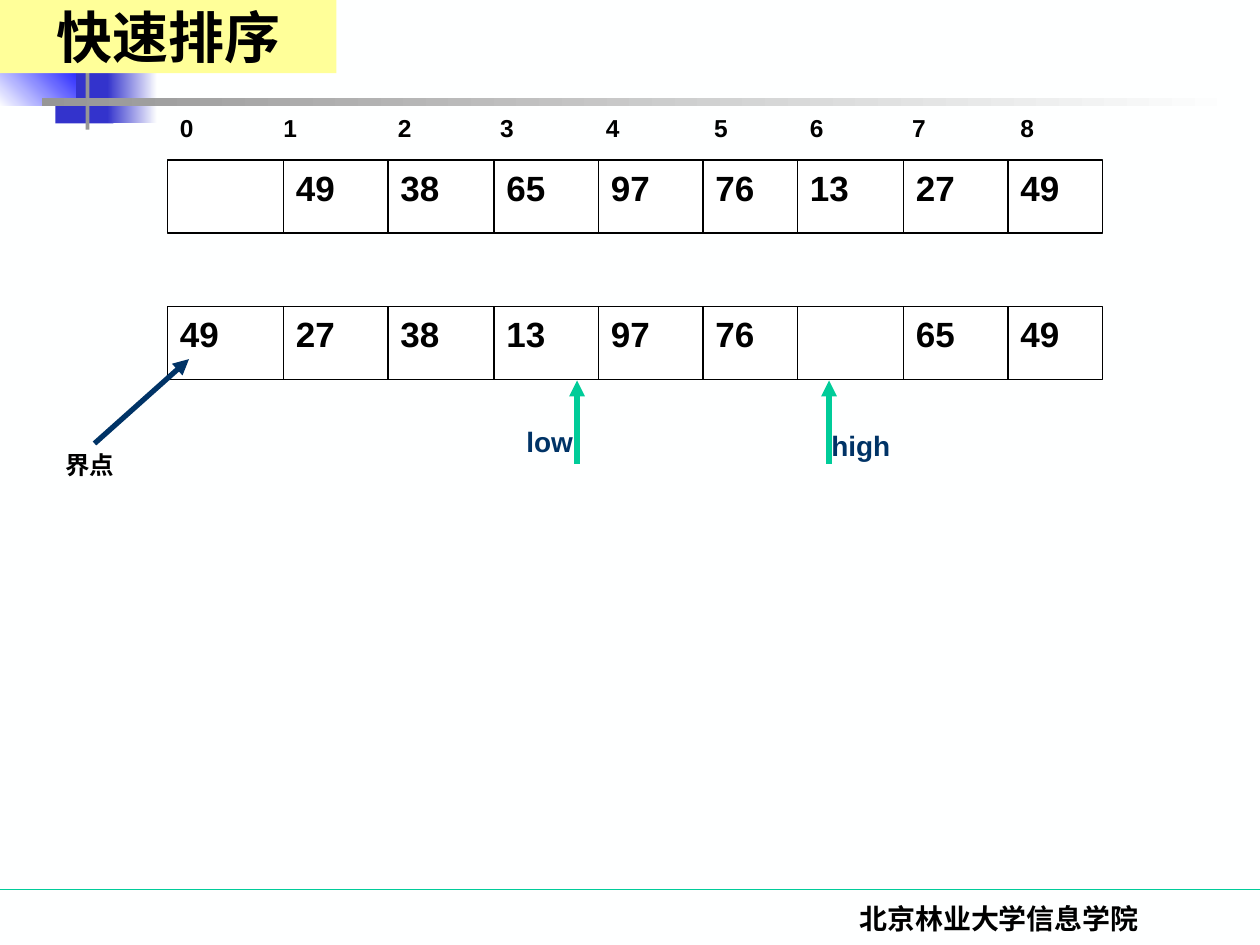
from dataclasses import dataclass

from lxml.etree import SubElement
from pptx import Presentation
from pptx.dml.color import RGBColor
from pptx.enum.shapes import MSO_CONNECTOR, MSO_SHAPE
from pptx.enum.text import MSO_ANCHOR, MSO_AUTO_SIZE, PP_ALIGN
from pptx.oxml.ns import qn
from pptx.util import Inches, Pt


@dataclass(frozen=True)
class Theme:
    paper: str = "FEFFFF"
    white: str = "FFFFFF"
    black: str = "000000"
    navy: str = "003366"
    indigo: str = "3333CC"
    blue: str = "0000FF"
    gray: str = "969696"
    green: str = "00CC99"
    yellow: str = "FFFF99"
    latin: str = "Arial"
    serif: str = "Times New Roman"
    title_size: int = 32
    value_size: int = 20
    label_size: int = 16
    small_size: int = 14


THEME = Theme()

# Array geometry: left edge of each cell, then the right end
EDGES = [1.33, 2.25, 3.08, 3.92, 4.75, 5.58, 6.33, 7.17, 8, 8.75]
ROW_HEIGHT = 0.58
INDEX_TABS = [0.82, 1.73, 2.54, 3.38, 4.24, 5, 5.81, 6.67]
ROWS = [
    (1.27, ["", "49", "38", "65", "97", "76", "13", "27", "49"]),
    (2.43, ["49", "27", "38", "13", "97", "76", "", "65", "49"]),
]


def rgb(color):
    return RGBColor.from_string(color)


def style(p, size, font=THEME.latin, color=THEME.black):
    p.font.size = Pt(size)
    p.font.name = font
    p.font.bold = True
    p.font.color.rgb = rgb(color)


def add_rect(s, box, fill, end=None, angle=0, line=None):
    """Rectangle with a solid fill, or a gradient from fill to end."""
    sp = s.shapes.add_shape(MSO_SHAPE.RECTANGLE, *map(Inches, box))
    sp.shadow.inherit = False
    if end:
        sp.fill.gradient()
        sp.fill.gradient_angle = angle
        for stop, color in zip(sp.fill.gradient_stops, (fill, end)):
            stop.color.rgb = rgb(color)
    else:
        sp.fill.solid()
        sp.fill.fore_color.rgb = rgb(fill)
    if line:
        sp.line.color.rgb = rgb(line)
        sp.line.width = Pt(0.75)
    else:
        sp.line.fill.background()


def add_line(s, start, end, color=THEME.black, width=0.75, arrow=False):
    cx = s.shapes.add_connector(
        MSO_CONNECTOR.STRAIGHT, *map(Inches, (*start, *end)))
    cx.line.color.rgb = rgb(color)
    cx.line.width = Pt(width)
    if arrow:
        SubElement(cx.line._get_or_add_ln(), qn("a:tailEnd"), type="triangle")
    SubElement(cx.element.spPr, qn("a:effectLst"))


def add_text(s, box, text, size, font=THEME.latin, color=THEME.black,
             tabs=(), align=PP_ALIGN.LEFT):
    tf = s.shapes.add_textbox(*map(Inches, box)).text_frame
    tf.word_wrap = True
    p = tf.paragraphs[0]
    p.text = text
    p.alignment = align
    if tabs:
        tab_list = SubElement(p._p.get_or_add_pPr(), qn("a:tabLst"))
        for pos in tabs:
            SubElement(tab_list, qn("a:tab"), pos=str(Inches(pos)), algn="l")
    style(p, size, font, color)


def add_array(s, top, values):
    left, right = EDGES[0], EDGES[-1]
    add_rect(s, (left, top, right - left, ROW_HEIGHT), THEME.white,
             line=THEME.black)
    for x in EDGES[1:-1]:
        add_line(s, (x, top), (x, top + ROW_HEIGHT))
    for x, value in zip(EDGES, values):
        if value:
            add_text(s, (x, top, 0.67, 0.44), value, THEME.value_size)


def add_pointer(s, x, text, box):
    add_line(s, (x, 3.68), (x, 3.02), THEME.green, 3, arrow=True)
    add_text(s, box, text, THEME.label_size, color=THEME.navy)


def add_decoration(s):
    t = THEME
    add_line(s, (0, 7.06), (10, 7.06), t.green)
    add_rect(s, (0.31, 0, 0.48, 0.52), t.navy)
    add_rect(s, (0.72, 0, 0.36, 0.52), t.navy, t.paper)
    add_rect(s, (0.44, 0.46, 0.46, 0.52), t.indigo)
    add_rect(s, (0.85, 0.46, 0.4, 0.52), t.indigo, t.paper)
    add_rect(s, (-0.01, 0.38, 0.61, 0.46), t.paper, t.blue, angle=45)
    add_rect(s, (0.68, -0.12, 0.03, 1.15), t.gray)
    add_rect(s, (0.33, 0.78, 9.51, 0.06), t.gray, t.paper)


def set_title(s, text):
    sp = s.shapes.title
    sp.left, sp.top, sp.width, sp.height = map(Inches, (0, 0, 2.67, 0.58))
    sp.fill.solid()
    sp.fill.fore_color.rgb = rgb(THEME.yellow)
    tf = sp.text_frame
    tf.auto_size = MSO_AUTO_SIZE.NONE
    tf.vertical_anchor = MSO_ANCHOR.MIDDLE
    p = tf.paragraphs[0]
    p.text = text
    p.alignment = PP_ALIGN.CENTER
    style(p, THEME.title_size, THEME.serif)
    s.shapes.element.append(sp.element)  # bring to front


def main():
    prs = Presentation()
    prs.slide_width, prs.slide_height = Inches(10), Inches(7.5)
    s = prs.slides.add_slide(prs.slide_layouts[5])
    s.background.fill.solid()
    s.background.fill.fore_color.rgb = rgb(THEME.paper)

    # Frame and footer
    add_decoration(s)
    add_text(s, (5.86, 7.11, 4.14, 0.5), "北京林业大学信息学院",
             THEME.label_size, THEME.serif, align=PP_ALIGN.CENTER)

    # Array before and during partitioning, with indices above
    for top, values in ROWS:
        add_array(s, top, values)
    add_text(s, (1.33, 0.85, 7.42, 0.34), "\t".join(map(str, range(9))),
             THEME.small_size, tabs=INDEX_TABS)

    # Low and high pointers
    add_pointer(s, 6.58, "high", (6.5, 3.35, 0.92, 0.37))
    add_pointer(s, 4.58, "low", (4.08, 3.32, 0.92, 0.37))

    # Pivot
    add_text(s, (0.42, 3.52, 0.83, 0.34), "界点", THEME.small_size)
    add_line(s, (0.75, 3.52), (1.5, 2.85), THEME.navy, 3, arrow=True)

    set_title(s, "快速排序")
    prs.save("out.pptx")


if __name__ == "__main__":
    main()
